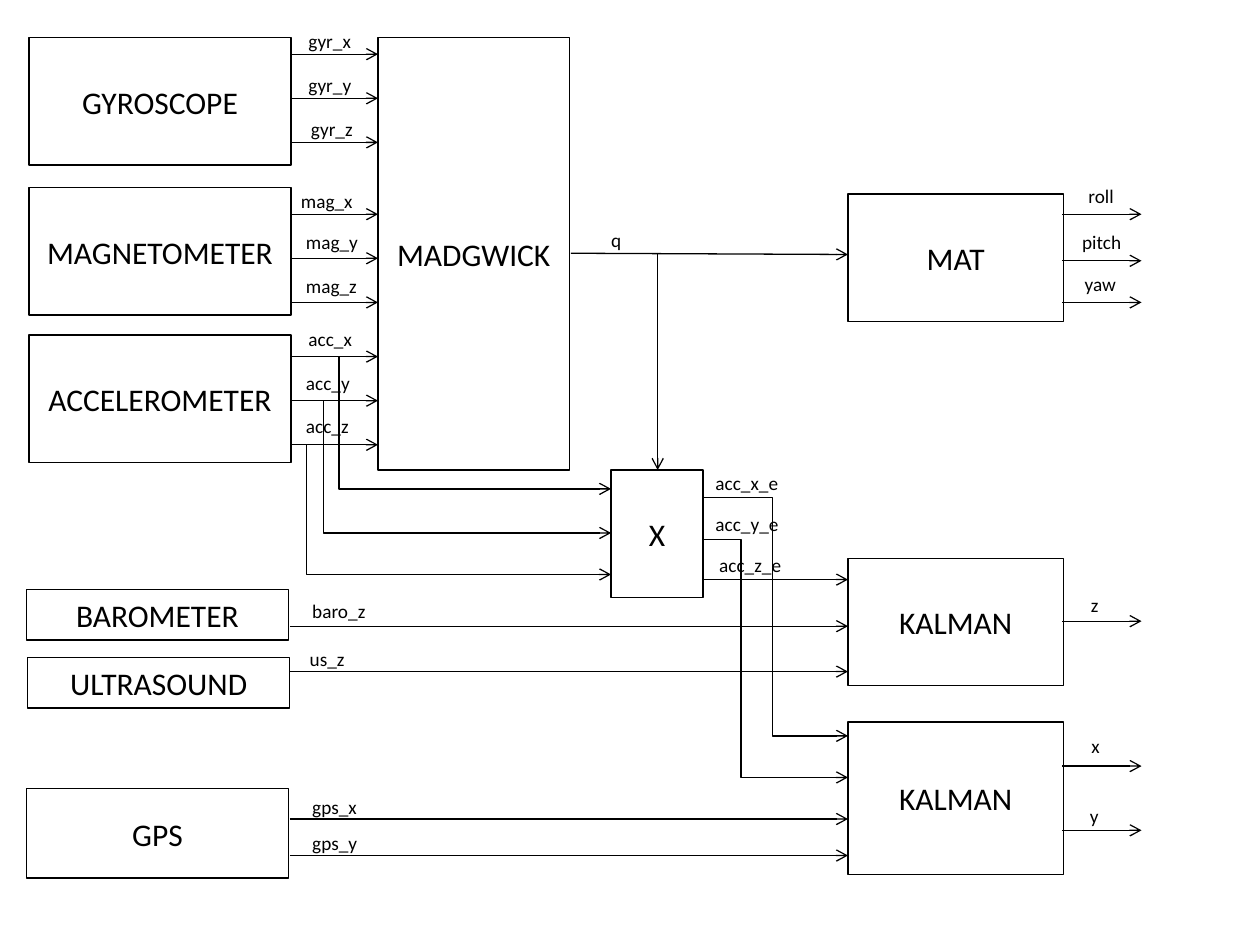
from dataclasses import dataclass

from lxml import etree
from pptx import Presentation
from pptx.dml.color import RGBColor
from pptx.enum.shapes import MSO_CONNECTOR, MSO_SHAPE
from pptx.enum.text import MSO_ANCHOR, PP_ALIGN
from pptx.oxml.ns import qn
from pptx.util import Inches, Pt

RECT = MSO_SHAPE.RECTANGLE
STRAIGHT, ELBOW = MSO_CONNECTOR.STRAIGHT, MSO_CONNECTOR.ELBOW
LEFT, CENTER = PP_ALIGN.LEFT, PP_ALIGN.CENTER
MIDDLE = MSO_ANCHOR.MIDDLE
INK = "000000"

# Column edges of the diagram
SENSOR_X, SENSOR_W, SENSOR_R = 0.23, 2.08, 2.31
FUSION_X, FUSION_R = 3.0, 4.53
ROTATE_X, ROTATE_R = 4.85, 5.58
FILTER_X, FILTER_W, FILTER_R = 6.73, 1.71, 8.43
OUTPUT_R = 9.06
BOX_H, ROW = 1.01, 0.35


@dataclass
class Block:
    name: str
    x: float
    y: float
    w: float
    h: float = BOX_H


@dataclass
class Label:
    text: str
    x: float
    y: float
    w: float = 0.64
    align: PP_ALIGN = LEFT


@dataclass
class Arrow:
    x1: float
    y1: float
    x2: float
    y2: float
    bend_x: float | None = None


def rgb(color: str) -> RGBColor:
    return RGBColor.from_string(color)


def write(shape, text: str, size: int, align: PP_ALIGN) -> None:
    tf = shape.text_frame
    tf.word_wrap = True
    p = tf.paragraphs[0]
    p.alignment = align
    r = p.add_run()
    r.text = text
    for key, value in {"name": "Calibri", "size": Pt(size)}.items():
        setattr(r.font, key, value)
    r.font.color.rgb = rgb(INK)


def outline(shape) -> None:
    shape.line.color.rgb = rgb(INK)
    shape.line.width = Pt(0.75)


def draw_block(s, b: Block) -> None:
    sp = s.shapes.add_shape(RECT, *map(Inches, (b.x, b.y, b.w, b.h)))
    sp.shadow.inherit = False
    sp.fill.background()
    outline(sp)
    sp.text_frame.vertical_anchor = MIDDLE
    write(sp, b.name, 18, CENTER)


def draw_label(s, label: Label) -> None:
    box = s.shapes.add_textbox(*map(Inches, (label.x, label.y, label.w, 0.29)))
    write(box, label.text, 11, label.align)


def draw_arrow(s, a: Arrow) -> None:
    kind = STRAIGHT if a.bend_x is None else ELBOW
    line = s.shapes.add_connector(kind, *map(Inches, (a.x1, a.y1, a.x2, a.y2)))
    outline(line)
    sp_pr = line._element.spPr
    etree.SubElement(sp_pr.find(qn("a:ln")), qn("a:tailEnd"), type="arrow")
    etree.SubElement(sp_pr, qn("a:effectLst"))
    if a.bend_x is not None:
        share = round((a.bend_x - a.x1) / (a.x2 - a.x1) * 100000)
        guides = sp_pr.find(qn("a:prstGeom")).find(qn("a:avLst"))
        etree.SubElement(guides, qn("a:gd"), name="adj1", fmla=f"val {share}")


blocks = [
    Block("GYROSCOPE", SENSOR_X, 0.3, SENSOR_W),
    Block("MAGNETOMETER", SENSOR_X, 1.49, SENSOR_W),
    Block("ACCELEROMETER", SENSOR_X, 2.66, SENSOR_W),
    Block("BAROMETER", 0.21, 4.68, SENSOR_W, 0.4),
    Block("ULTRASOUND", 0.22, 5.22, SENSOR_W, 0.4),
    Block("GPS", 0.21, 6.26, SENSOR_W, 0.71),
    Block("MADGWICK", FUSION_X, 0.3, 1.52, 3.43),
    Block("X", ROTATE_X, 3.73, 0.73),
    Block("MAT", FILTER_X, 1.54, FILTER_W),
    Block("KALMAN", FILTER_X, 4.43, FILTER_W),
    Block("KALMAN", FILTER_X, 5.73, FILTER_W, 1.21),
]

# Three axes from each inertial sensor
arrows = [Arrow(SENSOR_R, top + ROW * i, FUSION_X, top + ROW * i)
          for top in (0.43, 1.7, 2.83) for i in range(3)]
# Acceleration branches down to the rotation block
arrows += [Arrow(x, 2.83 + ROW * i, ROTATE_X, y, x)
           for i, (x, y) in enumerate([(2.69, 3.88), (2.57, 4.23), (2.43, 4.56)])]
# Height and position sensors to the filters
arrows += [Arrow(2.3, y, FILTER_X, y) for y in (4.97, 5.33, 6.5, 6.79)]
# Quaternion
arrows += [Arrow(FUSION_R, 2.01, FILTER_X, 2.02), Arrow(5.22, 2.01, 5.22, 3.73)]
# Rotated acceleration to the filters
arrows += [
    Arrow(ROTATE_R, 3.95, FILTER_X, 5.84, 6.13),
    Arrow(ROTATE_R, 4.28, FILTER_X, 6.17, 5.88),
    Arrow(ROTATE_R, 4.6, FILTER_X, 4.6),
]
# Outputs
arrows += [Arrow(FILTER_R, y, OUTPUT_R, y) for y in (1.7, 2.07, 2.4, 4.93, 6.08, 6.59)]

labels = [
    Label("gyr_x", 2.35, 0.18), Label("gyr_y", 2.35, 0.53), Label("gyr_z", 2.37, 0.88),
    Label("mag_x", 2.29, 1.45), Label("mag_y", 2.33, 1.78), Label("mag_z", 2.33, 2.13),
    Label("acc_x", 2.35, 2.55), Label("acc_y", 2.33, 2.9), Label("acc_z", 2.33, 3.24),
    Label("baro_z", 2.38, 4.71, 0.83), Label("us_z", 2.36, 5.09),
    Label("gps_x", 2.38, 6.26), Label("gps_y", 2.38, 6.55),
    Label("q", 4.59, 1.76, 0.6, CENTER),
    Label("acc_x_e", 5.58, 3.69, 0.83), Label("acc_y_e", 5.58, 4.02, 0.83),
    Label("acc_z_e", 5.61, 4.34, 0.83),
    Label("roll", 8.54, 1.41, 0.52), Label("pitch", 8.49, 1.78, 0.54),
    Label("yaw", 8.51, 2.11, 0.52), Label("z", 8.56, 4.66, 0.34),
    Label("x", 8.49, 5.78, 0.41, CENTER), Label("y", 8.48, 6.33, 0.41, CENTER),
]

prs = Presentation()
prs.slide_width, prs.slide_height = Inches(10), Inches(7.5)
s = prs.slides.add_slide(prs.slide_layouts[6])
for draw, items in ((draw_block, blocks), (draw_arrow, arrows), (draw_label, labels)):
    for item in items:
        draw(s, item)
prs.save("out.pptx")
